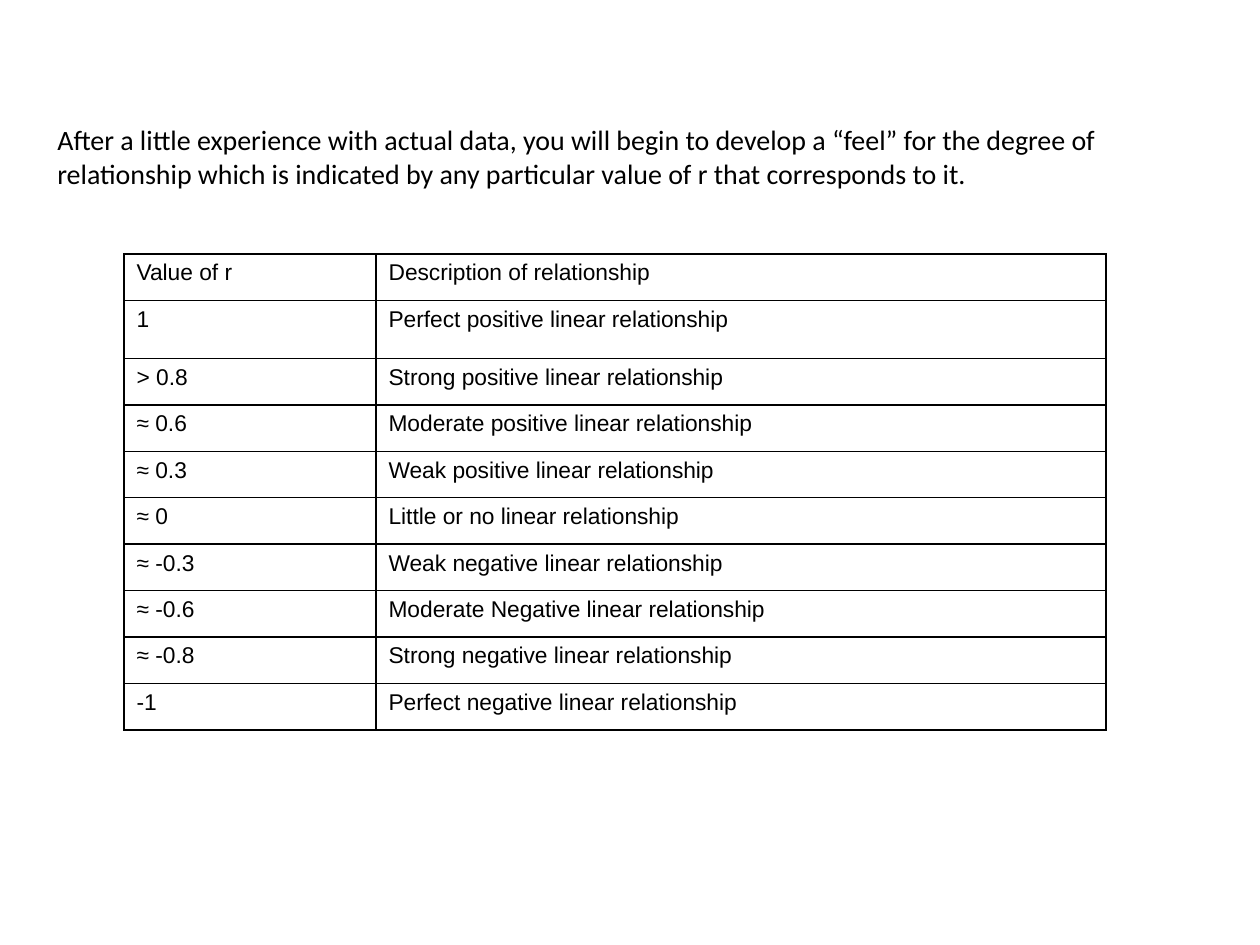
from lxml.etree import SubElement
from pptx import Presentation
from pptx.dml.color import RGBColor
from pptx.enum.text import MSO_ANCHOR
from pptx.oxml.ns import qn
from pptx.util import Emu, Pt

PX_PER_INCH = 126
BLACK = RGBColor(0x00, 0x00, 0x00)

INTRO = (
    "After a little experience with actual data, you will begin to develop a “feel” "
    "for the degree of relationship which is indicated by any particular value of r "
    "that corresponds to it."
)
RELATIONSHIPS = [
    ("Value of r", "Description of relationship"),
    ("1", "Perfect positive linear relationship"),
    ("> 0.8", "Strong positive linear relationship"),
    ("≈ 0.6", "Moderate positive linear relationship"),
    ("≈ 0.3", "Weak positive linear relationship"),
    ("≈ 0", "Little or no linear relationship"),
    ("≈ -0.3", "Weak negative linear relationship"),
    ("≈ -0.6", "Moderate Negative linear relationship"),
    ("≈ -0.8", "Strong negative linear relationship"),
    ("-1", "Perfect negative linear relationship"),
]
COLUMN_WIDTHS = (252, 730)
TABLE_HEIGHT = 476
TALL_ROW, TALL_ROW_HEIGHT = 1, 58


def px(length):
    return Emu(round(length * 914400 / PX_PER_INCH))


def write_text(frame, text, *, size, font, color=BLACK):
    span = frame.paragraphs[0].add_run()
    span.text = text
    span.font.size = Pt(size)
    span.font.name = font
    span.font.color.rgb = color


def add_text_box(page, left, top, width, height, text, **text_format):
    box = page.shapes.add_textbox(px(left), px(top), px(width), px(height))
    frame = box.text_frame
    frame.word_wrap = True
    frame.vertical_anchor = MSO_ANCHOR.MIDDLE
    write_text(frame, text, **text_format)


def set_borders(cell, color=BLACK, width=1):
    """Draw a solid line on all four sides; call before setting the fill."""
    properties = cell._tc.get_or_add_tcPr()
    for side in ("a:lnL", "a:lnR", "a:lnT", "a:lnB"):
        line = SubElement(properties, qn(side), w=str(Pt(width)))
        fill = SubElement(line, qn("a:solidFill"))
        SubElement(fill, qn("a:srgbClr"), val=str(color))


def add_grid(page, left, top, rows, **text_format):
    """Add a ruled table without fill, with equal rows except the tall one."""
    table = page.shapes.add_table(
        len(rows), len(COLUMN_WIDTHS), px(left), px(top),
        px(sum(COLUMN_WIDTHS)), px(TABLE_HEIGHT),
    ).table
    table.first_row = table.horz_banding = False
    for column, width in zip(table.columns, COLUMN_WIDTHS):
        column.width = px(width)
    row_height = (TABLE_HEIGHT - TALL_ROW_HEIGHT) / (len(rows) - 1)
    for row_index, texts in enumerate(rows):
        is_tall = row_index == TALL_ROW
        table.rows[row_index].height = px(TALL_ROW_HEIGHT if is_tall else row_height)
        for cell, text in zip(table.rows[row_index].cells, texts):
            set_borders(cell)
            cell.fill.background()
            write_text(cell.text_frame, text, **text_format)


def main():
    deck = Presentation()
    deck.slide_width, deck.slide_height = px(1260), px(945)
    page = deck.slides.add_slide(deck.slide_layouts.get_by_name("Blank"))
    add_text_box(page, 45, 116, 1152, 81, INTRO, size=16, font="Calibri")
    add_grid(page, 124, 254, RELATIONSHIPS, size=13, font="Arial")
    deck.save("out.pptx")


if __name__ == "__main__":
    main()
